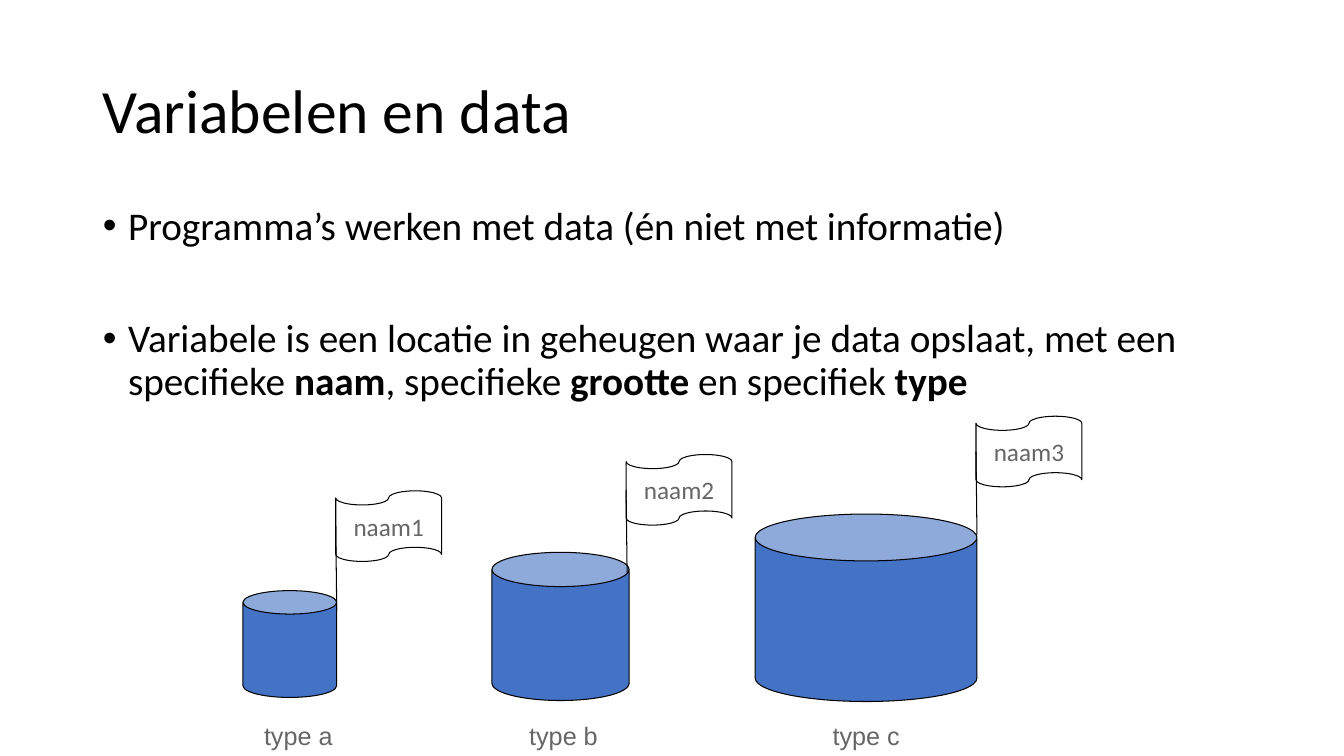
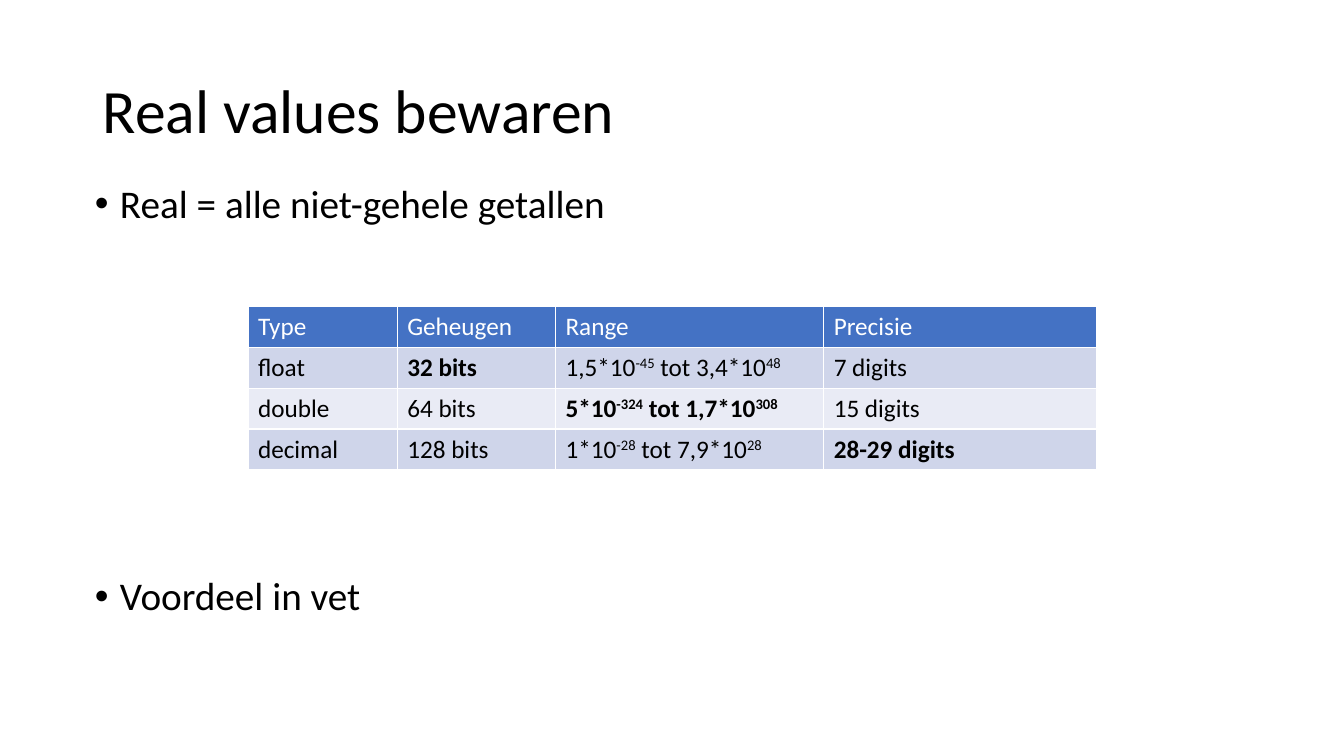
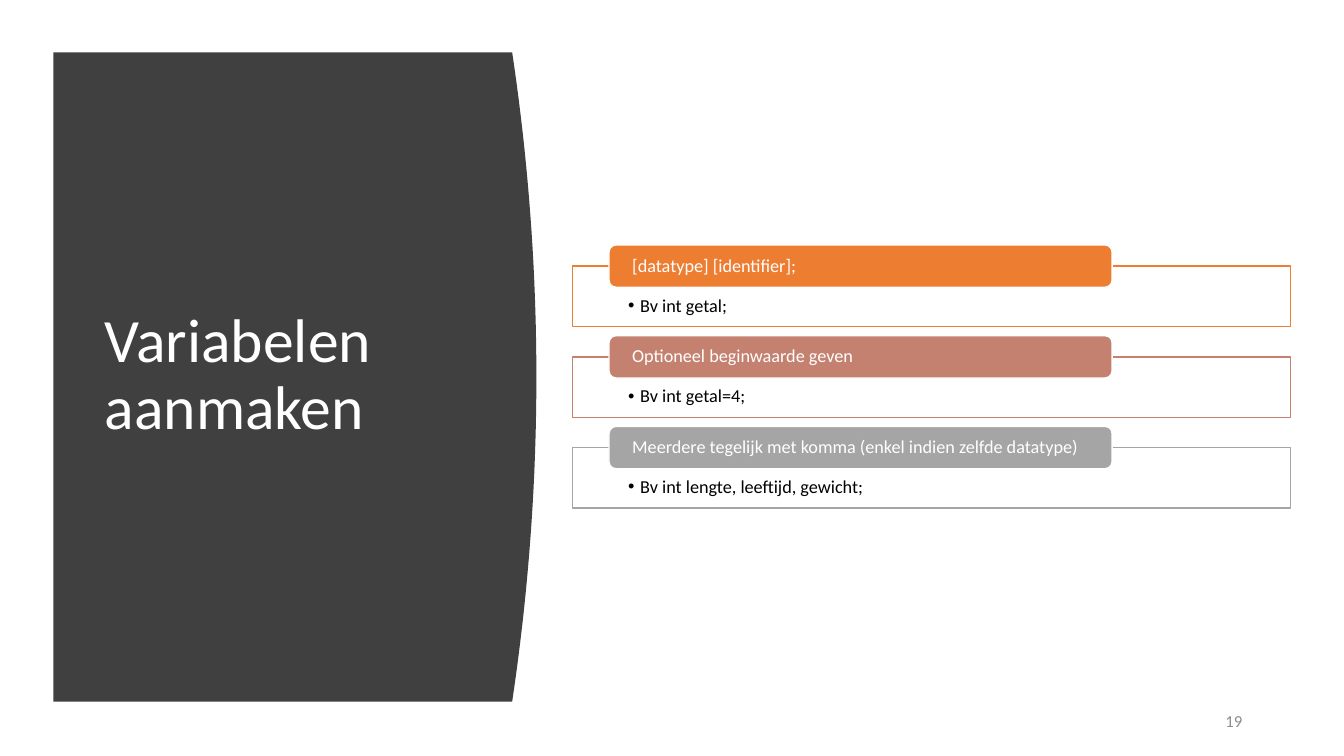
import lxml.etree
import pptx
import pptx.dml.color
import pptx.enum.shapes
import pptx.enum.text
import pptx.oxml
import pptx.oxml.ns
import pptx.util

PX = 9144
FONT = "Calibri"
COLORS = {
    "black": "000000", "white": "FFFFFF", "label": "666666", "number": "8C8C8C",
    "blue": "4472C4", "band": "CFD5EA", "light band": "E9EBF5", "panel": "404040",
    "orange": "ED7D31", "terracotta": "C48170", "gray": "A5A5A5",
}
SHAPE = pptx.enum.shapes.MSO_SHAPE
ALIGN = pptx.enum.text.PP_ALIGN
ANCHOR = pptx.enum.text.MSO_ANCHOR
qn = pptx.oxml.ns.qn


def color(name):
    return pptx.dml.color.RGBColor.from_string(COLORS[name])


def box(*lengths):
    return [round(length * PX) for length in lengths]


class Deck:
    """Holds the shared style and the slide being built; _ marks bold and ^ superscript."""

    def __init__(self):
        self.presentation = pptx.Presentation()
        self.presentation.slide_width, self.presentation.slide_height = box(1333, 750)
        self.slide = None

    def start(self, title, layout=1, at=(92, 40, 1150, 145), ink="black"):
        self.slide = self.presentation.slides.add_slide(self.presentation.slide_layouts[layout])
        heading = self.slide.shapes.title
        self.place(heading, at)
        self.frame(heading.text_frame, anchor=ANCHOR.MIDDLE)
        self.rich_text(heading.text_frame.paragraphs[0], title, 44, ink, spacing=0.9)
        return heading

    def place(self, shape, at):
        shape.left, shape.top, shape.width, shape.height = box(*at)

    def frame(self, frame, insets=(10, 5, 10, 5), anchor=ANCHOR.TOP, wrap=True):
        frame.word_wrap = wrap
        frame.auto_size = pptx.enum.text.MSO_AUTO_SIZE.NONE
        frame.vertical_anchor = anchor
        (frame.margin_left, frame.margin_top,
         frame.margin_right, frame.margin_bottom) = box(*insets)

    def rich_text(self, paragraph, text, size, ink, align=ALIGN.LEFT, spacing=None, font=FONT):
        paragraph.alignment = align
        if spacing:
            paragraph.line_spacing = spacing
        for b, chunk in enumerate(text.split("_")):
            for s, part in enumerate(chunk.split("^")):
                if not part:
                    continue
                run = paragraph.add_run()
                run.text = part
                run.font.name = font
                run.font.size = pptx.util.Pt(size)
                run.font.bold = b % 2 == 1
                run.font.color.rgb = color(ink)
                if s % 2:
                    run._r.get_or_add_rPr().set("baseline", "30000")

    def bullet(self, paragraph, text, size, indent):
        properties = paragraph._p.get_or_add_pPr()
        properties.set("marL", str(indent * PX))
        properties.set("indent", str(-indent * PX))
        lxml.etree.SubElement(properties, qn("a:buFont")).set("typeface", "Arial")
        lxml.etree.SubElement(properties, qn("a:buChar")).set("char", "•")
        self.rich_text(paragraph, text, size, "black", spacing=0.9)

    def bullets(self, items, gap, at):
        body = self.slide.placeholders[1]
        self.place(body, at)
        self.frame(body.text_frame)
        for i, item in enumerate(items):
            paragraph = body.text_frame.add_paragraph() if i else body.text_frame.paragraphs[0]
            paragraph.space_before = pptx.util.Pt(gap if i else 0)
            self.bullet(paragraph, item, 28, 25)

    def paint(self, shape, fill, line=None, width=0.75):
        shape.shadow.inherit = False
        shape.fill.solid()
        shape.fill.fore_color.rgb = color(fill)
        if line:
            shape.line.color.rgb = color(line)
            shape.line.width = pptx.util.Pt(width)
        else:
            shape.line.fill.background()

    def shape(self, kind, at, fill, line, width=0.75):
        shape = self.slide.shapes.add_shape(kind, *box(*at))
        self.paint(shape, fill, line, width)
        return shape

    def label(self, text, at, size, ink, font=FONT, align=ALIGN.LEFT,
              anchor=ANCHOR.TOP, wrap=True):
        frame = self.slide.shapes.add_textbox(*box(*at)).text_frame
        self.frame(frame, anchor=anchor, wrap=wrap)
        self.rich_text(frame.paragraphs[0], text, size, ink, align, font=font)

    def variable(self, name, kind, can, flag, kind_left):
        self.shape(SHAPE.CAN, can, "blue", "black")
        x, y = flag
        banner = self.shape(SHAPE.FLOWCHART_PUNCHED_TAPE, (x, y, 105, 70), "white", "black")
        self.frame(banner.text_frame, anchor=ANCHOR.MIDDLE)
        self.rich_text(banner.text_frame.paragraphs[0], name, 18, "label", ALIGN.CENTER)
        pole = self.slide.shapes.add_connector(
            pptx.enum.shapes.MSO_CONNECTOR.STRAIGHT, *box(x, y + 35, x + 1, y + 118))
        pole.begin_connect(banner, 1)
        pole.line.color.rgb = color("black")
        pole.line.width = pptx.util.Pt(0.75)
        lxml.etree.SubElement(pole.element.spPr, qn("a:effectLst"))
        self.label(kind, (kind_left, 710, 89, 40), 18, "label", "Arial", wrap=False)

    def table(self, rows, widths, left, top, row_height):
        table = self.slide.shapes.add_table(
            len(rows), len(widths),
            *box(left, top, sum(widths), row_height * len(rows))).table
        for column, width in zip(table.columns, widths):
            column.width = width * PX
        for r, row in enumerate(rows):
            table.rows[r].height = row_height * PX
            fill = ("band" if r % 2 else "light band") if r else "blue"
            for c, text in enumerate(row):
                cell = table.cell(r, c)
                self.borders(cell)
                cell.fill.solid()
                cell.fill.fore_color.rgb = color(fill)
                self.rich_text(cell.text_frame.paragraphs[0], text, 18,
                               "black" if r else "white")

    def borders(self, cell):
        properties = cell._tc.get_or_add_tcPr()
        for side in ("lnL", "lnR", "lnT", "lnB"):
            edge = lxml.etree.SubElement(properties, qn("a:" + side), w="12700")
            fill = lxml.etree.SubElement(edge, qn("a:solidFill"))
            lxml.etree.SubElement(fill, qn("a:srgbClr"), val=COLORS["white"])

    def curved_panel(self, left, top, right, bottom, bulge, behind):
        middle, half, steps = (top + bottom) / 2, (bottom - top) / 2, 40
        curve = []
        for i in range(steps + 1):
            t = 2 * i / steps - 1
            curve.append(box(right + bulge * (1 - t * t), middle + half * t))
        builder = self.slide.shapes.build_freeform(*box(left, top), scale=1.0)
        builder.add_line_segments(curve + [box(left, bottom)], close=True)
        panel = builder.convert_to_shape()
        self.paint(panel, "panel")
        panel.element.addnext(behind.element)

    def example(self, heading, code, accent, top):
        frame = self.shape(SHAPE.RECTANGLE, (568, top, 712, 60), "white", accent, 1).text_frame
        self.frame(frame, (55, 30, 55, 10))
        self.bullet(frame.paragraphs[0], code, 13, 12)
        tab = self.shape(SHAPE.ROUNDED_RECTANGLE, (604, top - 21, 499, 42), accent, "white", 1)
        self.frame(tab.text_frame, (21, 0, 21, 0), ANCHOR.MIDDLE)
        self.rich_text(tab.text_frame.paragraphs[0], heading, 13, "white", spacing=0.9)


def main():
    deck = Deck()

    deck.start("Variabelen en data")
    deck.bullets([
        "Programma’s werken met data (én niet met informatie)",
        "Variabele is een locatie in geheugen waar je data opslaat, met een specifieke "
        "_naam_, specifieke _grootte_ en specifiek _type_",
    ], 50, (92, 200, 1150, 476))
    deck.variable("naam1", "type a", (241, 586, 93, 106), (333, 487), 252)
    deck.variable("naam2", "type b", (488, 548, 136, 147), (621, 451), 515)
    deck.variable("naam3", "type c", (749, 510, 220, 186), (968, 413), 816)

    deck.start("Real values bewaren")
    deck.bullets(["Real = alle niet-gehele getallen", "Voordeel in vet"],
                 250, (84, 178, 1150, 476))
    deck.table([
        ["Type", "Geheugen", "Range", "Precisie"],
        ["float", "_32 bits_", "1,5*10^-45^ tot 3,4*10^48^", "7 digits"],
        ["double", "64 bits", "_5*10^-324^ tot 1,7*10^308^_", "15 digits"],
        ["decimal", "128 bits", "1*10^-28^ tot 7,9*10^28^", "_28-29 digits_"],
    ], (148, 157, 266, 271), 246, 304, 40)

    title = deck.start("Variabelen aanmaken", 5, (94, 111, 374, 524), "white")
    deck.curved_panel(53, 52, 508, 696, 24, title)
    deck.label("19", (1173, 695, 69, 40), 12, "number", align=ALIGN.RIGHT, anchor=ANCHOR.MIDDLE)
    examples = [
        ("[datatype] [identifier];", "Bv int getal;", "orange"),
        ("Optioneel beginwaarde geven", "Bv int getal=4;", "terracotta"),
        ("Meerdere tegelijk met komma (enkel indien zelfde datatype)",
         "Bv int lengte, leeftijd, gewicht;", "gray"),
    ]
    for i, (heading, code, accent) in enumerate(examples):
        deck.example(heading, code, accent, 264 + 90 * i)

    deck.presentation.save("out.pptx")


if __name__ == "__main__":
    main()
